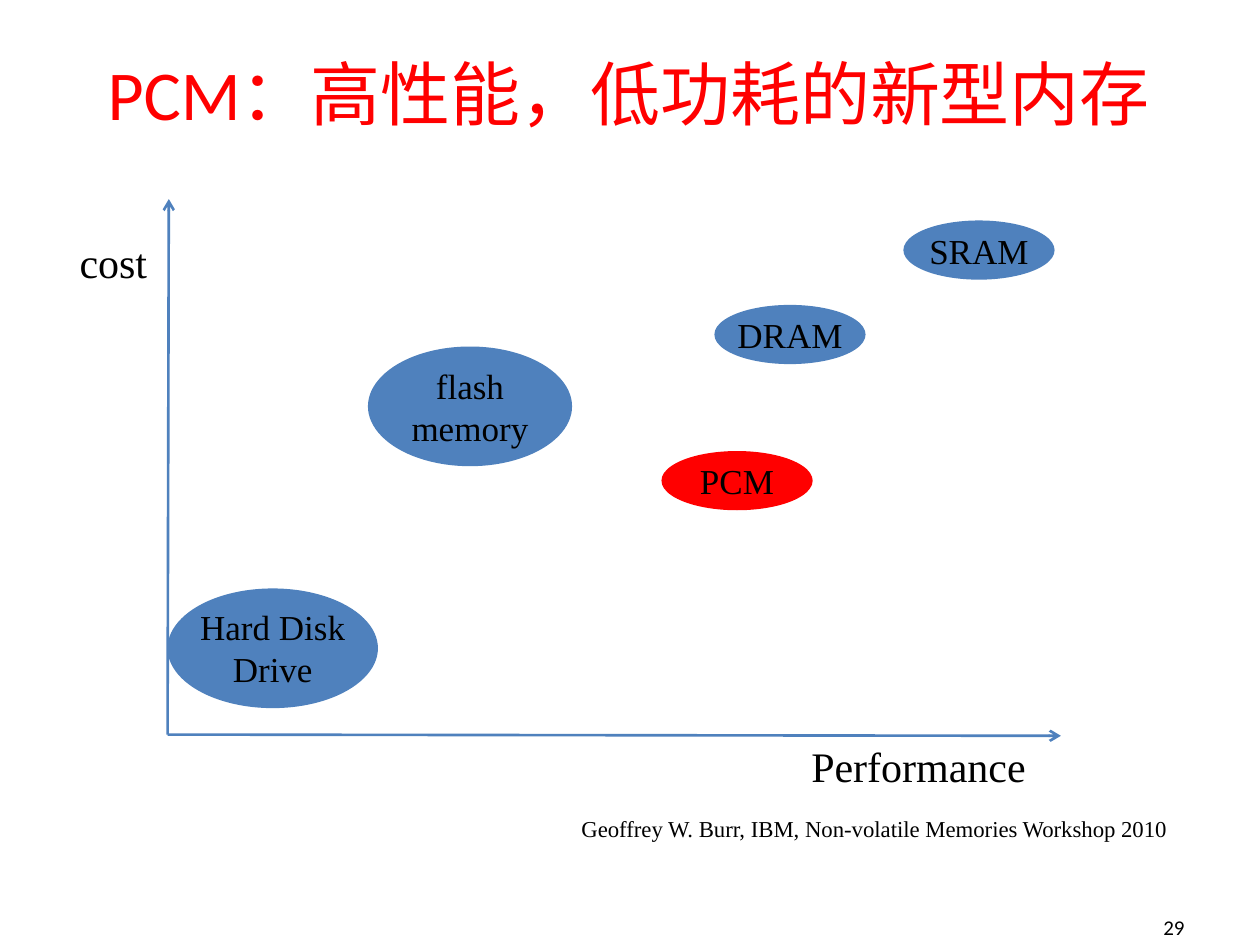
from lxml import etree
from pptx import Presentation
from pptx import util as u
from pptx.dml.color import RGBColor
from pptx.enum import shapes, text
from pptx.oxml.ns import qn

RED, BLUE, BLACK = "FF0000", "4F81BD", "000000"
SERIF, SANS = "Times New Roman", "Calibri"
LEFT, CENTER, RIGHT = text.PP_ALIGN.LEFT, text.PP_ALIGN.CENTER, text.PP_ALIGN.RIGHT
TOP, MIDDLE = text.MSO_ANCHOR.TOP, text.MSO_ANCHOR.MIDDLE

# words, (left, top, width, height), size, font, colour, alignment, anchor, wrap
LABELS = [
    ("PCM：高性能，低功耗的新型内存", (0.26, 0.11, 9.46, 1.25), 40, SANS, RED, CENTER, MIDDLE, True),
    ("29", (7.17, 7.16, 2.33, 0.4), 12, SANS, BLACK, RIGHT, MIDDLE, True),
    ("Performance", (6.33, 5.83, 1.92, 0.5), 24, SERIF, BLACK, CENTER, TOP, False),
    ("cost", (0.53, 1.83, 0.74, 0.5), 24, SERIF, BLACK, CENTER, TOP, False),
    ("Geoffrey W. Burr, IBM, Non-volatile Memories Workshop 2010",
     (4.42, 6.42, 5.03, 0.32), 13, SERIF, BLACK, CENTER, TOP, False),
]

ORIGIN = (1.33, 5.83)
AXIS_ENDS = [(8.42, 5.84), (1.34, 1.58)]

# name, (left, top), (width, height), fill
SMALL = (1.2, 0.47)
MEMORIES = [
    ("SRAM", (7.17, 1.75), SMALL, BLUE),
    ("Hard Disk Drive", (1.33, 4.67), (1.67, 0.95), BLUE),
    ("flash memory", (2.92, 2.75), (1.62, 0.95), BLUE),
    ("DRAM", (5.67, 2.42), SMALL, BLUE),
    ("PCM", (5.25, 3.58), SMALL, RED),
]


def color(value):
    return RGBColor.from_string(value)


def inches(values):
    return [u.Inches(value) for value in values]


def write(frame, words, size, font, ink, alignment, anchor, wrap):
    frame.word_wrap = wrap
    frame.vertical_anchor = anchor
    paragraph = frame.paragraphs[0]
    paragraph.text = words
    paragraph.alignment = alignment
    paragraph.font.size = u.Pt(size)
    paragraph.font.name = font
    paragraph.font.color.rgb = color(ink)


def add_axis(slide, start, end):
    axis = slide.shapes.add_connector(
        shapes.MSO_CONNECTOR.STRAIGHT, *inches(start), *inches(end))
    axis.line.color.rgb = color(BLUE)
    axis.line.width = u.Pt(1.5)
    etree.SubElement(axis.line._get_or_add_ln(), qn("a:tailEnd"), type="arrow")
    etree.SubElement(axis._element.spPr, qn("a:effectLst"))


def add_memory(slide, name, position, size, fill):
    ellipse = slide.shapes.add_shape(
        shapes.MSO_SHAPE.OVAL, *inches(position), *inches(size))
    ellipse.shadow.inherit = False
    ellipse.fill.solid()
    ellipse.fill.fore_color.rgb = color(fill)
    ellipse.line.fill.background()
    frame = ellipse.text_frame
    frame.margin_left = frame.margin_right = frame.margin_top = frame.margin_bottom = 0
    write(frame, name, 20, SERIF, BLACK, CENTER, TOP, True)


def main():
    presentation = Presentation()
    presentation.slide_width, presentation.slide_height = inches((10, 7.5))
    slide = presentation.slides.add_slide(presentation.slide_layouts[6])
    for words, box, *style in LABELS:
        write(slide.shapes.add_textbox(*inches(box)).text_frame, words, *style)
    for end in AXIS_ENDS:
        add_axis(slide, ORIGIN, end)
    for memory in MEMORIES:
        add_memory(slide, *memory)
    presentation.save("out.pptx")


if __name__ == "__main__":
    main()
